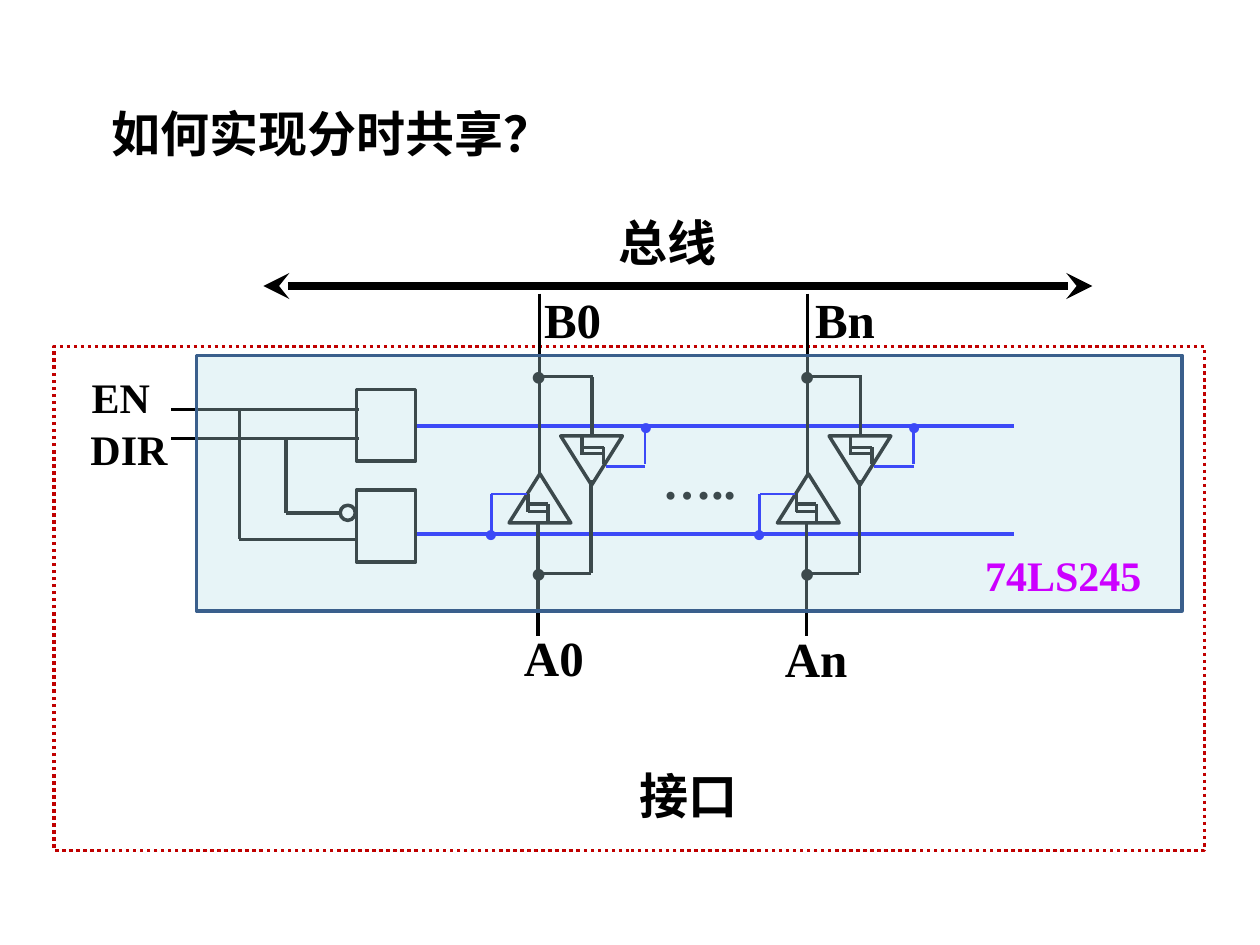
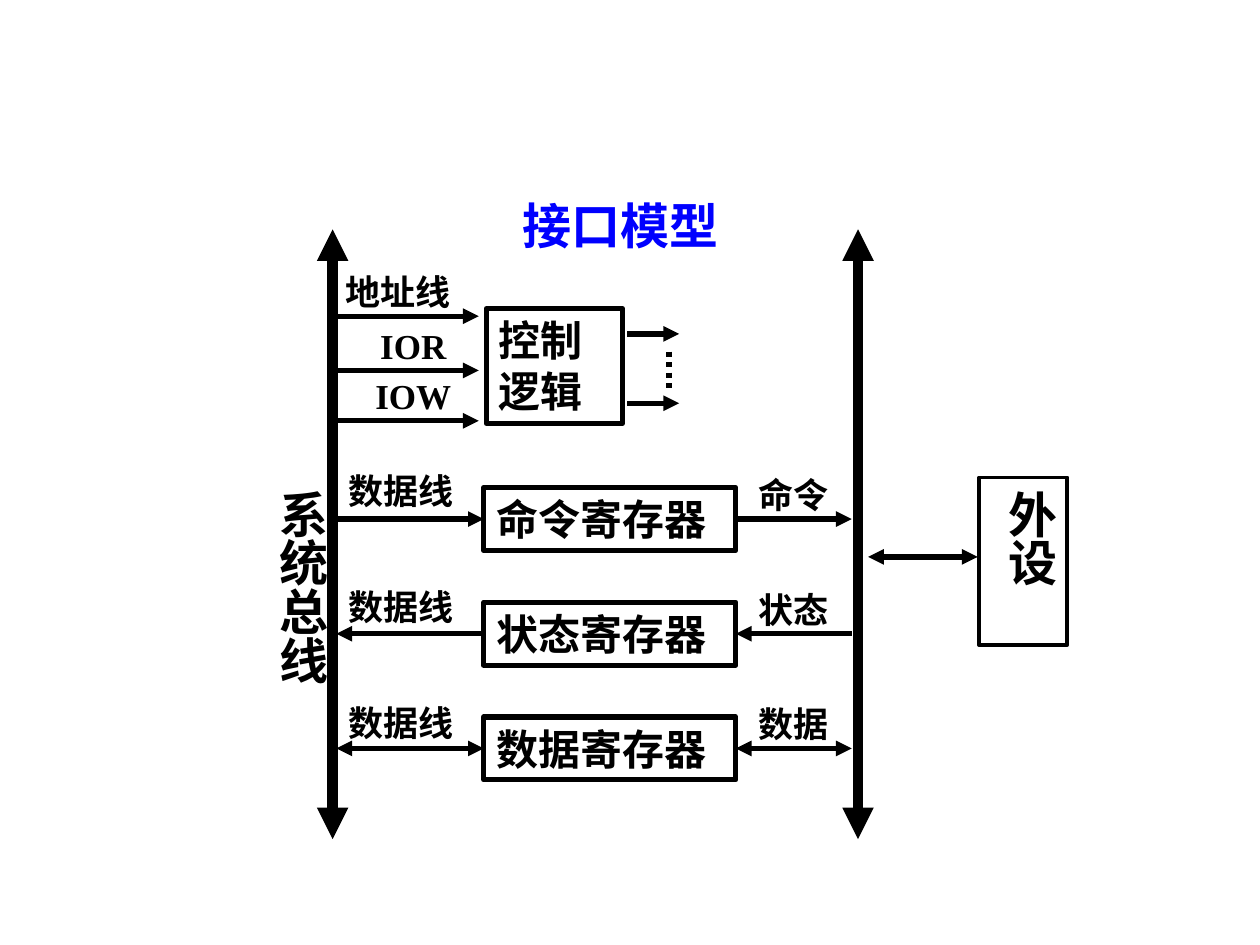
from dataclasses import dataclass

from lxml.etree import SubElement
from pptx import Presentation
from pptx.dml.color import RGBColor
from pptx.enum.dml import MSO_LINE
from pptx.enum.shapes import MSO_CONNECTOR, MSO_SHAPE
from pptx.enum.text import MSO_ANCHOR, MSO_AUTO_SIZE, PP_ALIGN
from pptx.oxml.ns import qn
from pptx.util import Cm, Pt

BLACK, BLUE, RED = "000000", "0000FF", "C00000"
SERIF, SANS = "Times New Roman", "Noto Sans CJK SC"
INCH = 2.54


@dataclass
class Label:
    text: str
    x: float
    y: float
    w: float
    h: float = 0.57
    size: int = 28
    color: str = BLACK
    face: str = SERIF
    bold: bool = True
    wrap: bool = True
    mid: bool = False
    tall: bool = False


@dataclass
class Wire:
    x1: float
    y1: float
    x2: float
    y2: float
    color: str = BLACK
    width: float = 2
    head: str = ""
    tail: str = ""
    dots: bool = False


@dataclass
class Box:
    x: float
    y: float
    w: float
    h: float
    kind: MSO_SHAPE = MSO_SHAPE.RECTANGLE
    color: str = BLACK
    width: float = 2
    turn: int = 0
    dots: bool = False


def span(value: float) -> Cm:
    return Cm(value * INCH)


def paint(color: str) -> RGBColor:
    return RGBColor.from_string(color)


def stroke(line, item) -> None:
    line.color.rgb = paint(item.color)
    line.width = Pt(item.width)
    if item.dots:
        line.dash_style = MSO_LINE.ROUND_DOT


def write(shape, label: Label) -> None:
    frame = shape.text_frame
    frame.word_wrap = label.wrap
    frame.auto_size = MSO_AUTO_SIZE.SHAPE_TO_FIT_TEXT
    frame.vertical_anchor = MSO_ANCHOR.TOP
    if label.tall:
        frame._txBody.bodyPr.set("vert", "eaVert")
    line = frame.paragraphs[0]
    line.text = label.text
    line.alignment = PP_ALIGN.CENTER if label.mid else PP_ALIGN.LEFT
    font = line.font
    font.name, font.size, font.bold = label.face, Pt(label.size), label.bold
    font.color.rgb = paint(label.color)
    SubElement(line._p.pPr.find(qn("a:defRPr")), qn("a:ea"), typeface=SANS)


def draw_text(slide, label: Label) -> None:
    spot = map(span, (label.x, label.y, label.w, label.h))
    write(slide.shapes.add_textbox(*spot), label)


def draw_box(slide, box: Box):
    shape = slide.shapes.add_shape(box.kind, *map(span, (box.x, box.y, box.w, box.h)))
    shape.shadow.inherit = False
    shape.fill.background()
    shape.rotation = box.turn
    stroke(shape.line, box)
    return shape


def draw_wire(slide, wire: Wire) -> None:
    ends = map(span, (wire.x1, wire.y1, wire.x2, wire.y2))
    link = slide.shapes.add_connector(MSO_CONNECTOR.STRAIGHT, *ends)
    stroke(link.line, wire)
    edge = link.line._get_or_add_ln()
    for tag, kind in (("a:headEnd", wire.head), ("a:tailEnd", wire.tail)):
        if kind:
            SubElement(edge, qn(tag), type=kind)
    SubElement(link._element.spPr, qn("a:effectLst"))


def draw_node(slide, label: Label) -> None:
    draw_box(slide, Box(label.x, label.y, label.w, label.h, width=3))
    write(slide.shapes[-1], label)


def draw_pair(slide, dx: float) -> None:
    for x, y, turn in ((4.45, 3.46, 180), (4.04, 3.76, 0)):
        draw_box(slide, Box(x + dx, y, 0.49, 0.39, MSO_SHAPE.ISOSCELES_TRIANGLE, turn=turn))
    dark = (
        (4.79, 3.68, 4.79, 3.55), (4.79, 3.55, 4.62, 3.55),
        (4.79, 3.6, 4.62, 3.6), (4.62, 3.61, 4.62, 3.46),
        (4.7, 3.45, 4.7, 2.99), (4.69, 4.55, 4.69, 3.81),
        (4.19, 3.92, 4.19, 4.06), (4.19, 4.06, 4.35, 4.06),
        (4.19, 4, 4.35, 4), (4.35, 4, 4.35, 4.14),
        (4.27, 4.16, 4.27, 5.05), (4.28, 2.33, 4.28, 3.76),
        (4.69, 4.55, 4.27, 4.55), (4.29, 2.99, 4.71, 2.99),
    )
    light = (
        (3.9, 3.92, 4.18, 3.92), (3.9, 3.92, 3.9, 4.24),
        (4.81, 3.7, 5.12, 3.7), (5.12, 3.68, 5.12, 3.37),
    )
    for lines, color, width in ((dark, BLACK, 2), (light, BLUE, 1.5)):
        for x1, y1, x2, y2 in lines:
            draw_wire(slide, Wire(x1 + dx, y1, x2 + dx, y2, color, width))
    for x, y in ((4.97, 3.13), (3.74, 3.98)):
        draw_text(slide, Label("•", x + dx, y, 0.36, 0.5, 24, BLUE, bold=False))
    for y in (2.69, 4.26):
        draw_text(slide, Label("•", 4.11 + dx, y, 0.36, bold=False))


def draw_share(slide) -> None:
    draw_text(slide, Label("如何实现分时共享？", 0.79, 0.77, 3.75, wrap=False))
    draw_box(slide, Box(0.43, 2.75, 9.13, 4, color=RED, dots=True))
    draw_wire(slide, Wire(2.09, 2.27, 8.67, 2.27, width=5, head="stealth", tail="stealth"))
    for y in (3.09, 3.89):
        draw_box(slide, Box(2.83, y, 0.47, 0.57))
    draw_box(slide, Box(2.7, 4.01, 0.12, 0.12, MSO_SHAPE.OVAL))
    for ends in (
        (1.36, 3.25, 2.85, 3.25), (1.36, 3.48, 2.85, 3.48),
        (2.27, 4.07, 2.7, 4.07), (1.9, 4.28, 2.83, 4.28),
        (2.27, 3.49, 2.27, 4.07), (1.9, 3.25, 1.9, 4.28),
    ):
        draw_wire(slide, Wire(*ends))
    for y in (3.38, 4.24):
        draw_wire(slide, Wire(3.31, y, 8.05, y, BLUE))
    for step in range(2):
        draw_pair(slide, 2.13 * step)
    for text, x, y, w in (
        ("A0", 4.06, 4.93, 0.68), ("An", 6.13, 4.94, 0.71),
        ("B0", 4.22, 2.25, 0.68), ("Bn", 6.37, 2.25, 0.68),
        ("总线", 4.81, 1.64, 0.99), ("接口", 4.98, 6.03, 0.99),
        ("…..", 5.16, 3.53, 0.79),
    ):
        draw_text(slide, Label(text, x, y, w, wrap=False))
    draw_text(slide, Label("EN", 0.63, 2.9, 0.67, 0.5, 24, wrap=False))
    draw_text(slide, Label("DIR", 0.62, 3.31, 0.93, 0.5, 24))
    chip = draw_box(slide, Box(1.56, 2.82, 7.82, 2.03, color="3A5F8C"))
    chip.fill.solid()
    chip.fill.fore_color.rgb = paint("B7DEE8")
    tint = chip._element.spPr.find(qn("a:solidFill"))[0]
    SubElement(tint, qn("a:alpha"), val="33000")
    draw_text(slide, Label("74LS245", 7.72, 4.31, 1.46, 0.5, 24, "CC00FF", wrap=False))


def draw_model(slide) -> None:
    tip = "triangle"
    draw_text(slide, Label("接口模型", 4.05, 1.5, 1.97, color=BLUE, face=SANS))
    for x in (2.64, 6.81):
        draw_wire(slide, Wire(x, 1.82, x, 6.66, width=6, head=tip, tail=tip))

    draw_node(slide, Label("控制逻辑", 3.86, 2.45, 1.08, 0.91, 24))
    for text, y, rail, mid in (
        ("地址线", 2.1, 2.51, False),
        ("IOR", 2.53, 2.94, True),
        ("IOW", 2.92, 3.34, True),
    ):
        draw_wire(slide, Wire(3.8, rail, 2.64, rail, width=3, head=tip))
        draw_text(slide, Label(text, 2.64, y, 1.28, 0.43, 20, mid=mid))
    for y in (2.65, 3.2):
        draw_wire(slide, Wire(5.39, y, 4.98, y, width=3, head=tip))
    draw_wire(slide, Wire(5.31, 2.79, 5.31, 3.12, width=3, dots=True))

    for step, (text, head, tail, lift) in enumerate((
        ("命令", tip, "", 0.43), ("状态", "", tip, 0.42), ("数据", tip, tip, 0.41),
    )):
        y = 4.12 + 0.91 * step
        draw_node(slide, Label(f"{text}寄存器", 3.84, y - 0.25, 2, 0.5, 24))
        for x1, x2 in ((3.84, 2.67), (6.76, 5.84)):
            draw_wire(slide, Wire(x1, y, x2, y, width=3, head=head, tail=tail))
        draw_text(slide, Label("数据线", 2.67, y - lift - 0.01, 1.83, 0.43, 20))
        draw_text(slide, Label(text, 5.92, y - 0.41, 1.42, 0.43, 20))

    rim = draw_box(slide, Box(7.77, 3.79, 0.7, 1.33, width=2.25))
    write(rim, Label("外设", 7.77, 3.79, 0.7, 1.33, face=SANS, tall=True))
    draw_text(slide, Label("系统总线", 2.01, 3.79, 0.67, 2.08, face=SANS, tall=True))
    draw_wire(slide, Wire(6.89, 4.42, 7.76, 4.42, width=3, head=tip, tail=tip))


def main() -> None:
    deck = Presentation()
    deck.slide_width, deck.slide_height = span(10), span(7.5)
    for draw in (draw_share, draw_model):
        draw(deck.slides.add_slide(deck.slide_layouts[6]))
    deck.save("out.pptx")


main()
